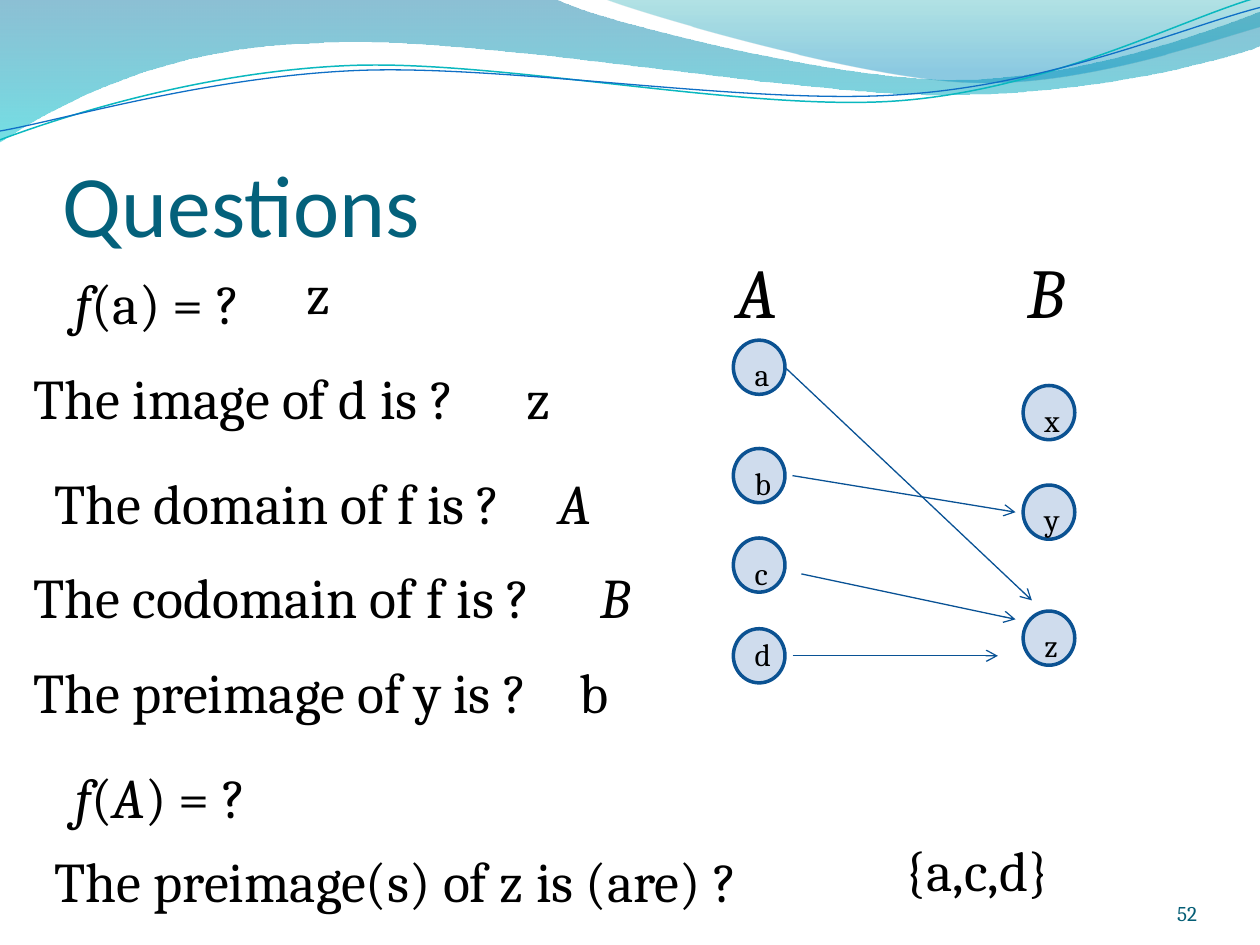
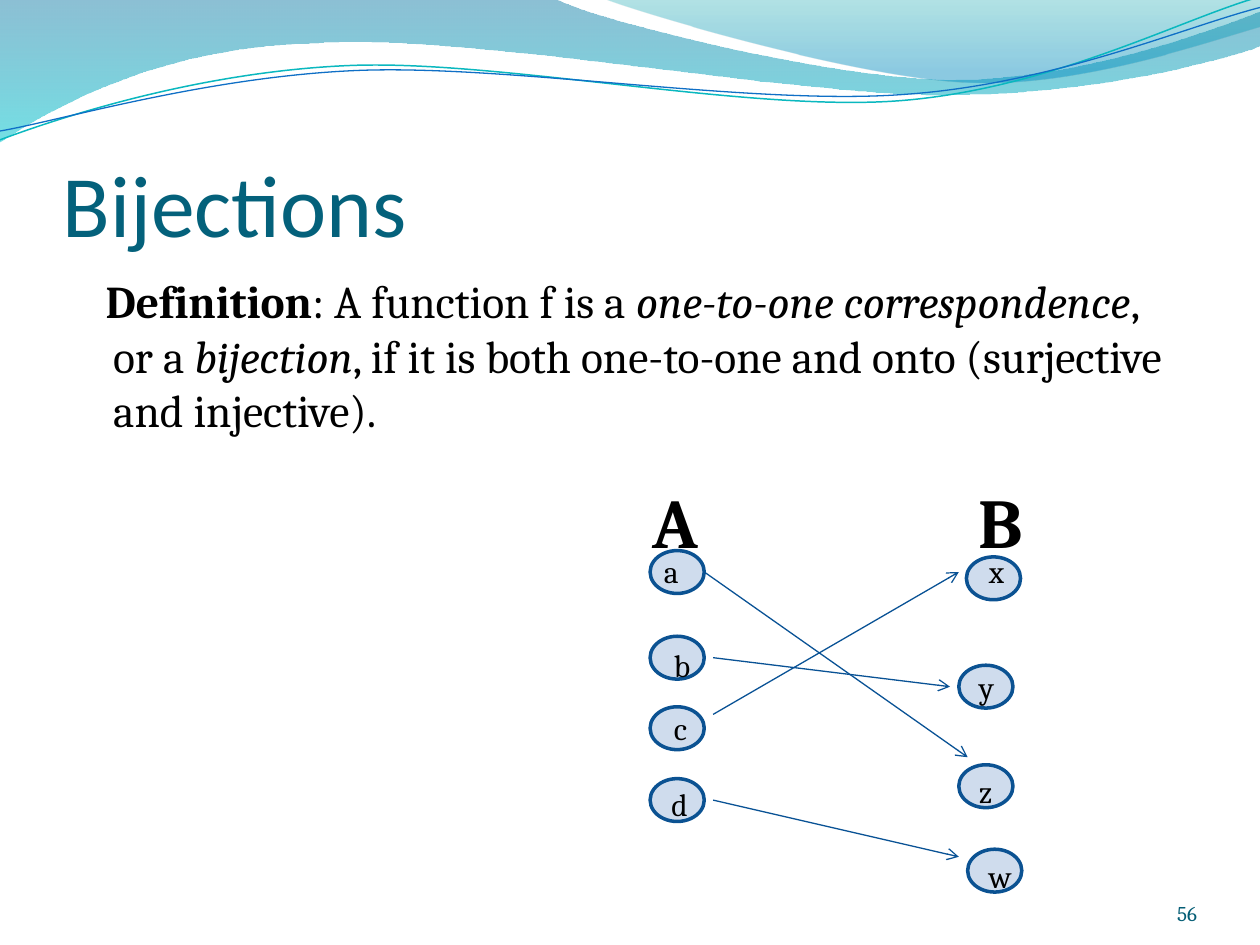
from math import cos, radians, sin

from lxml import etree
from pptx import Presentation
from pptx.dml.color import RGBColor
from pptx.enum.shapes import MSO_CONNECTOR, MSO_SHAPE
from pptx.enum.text import MSO_ANCHOR, PP_ALIGN
from pptx.oxml.ns import qn
from pptx.util import Inches, Pt

NODE = MSO_SHAPE.FLOWCHART_CONNECTOR
STRAIGHT = MSO_CONNECTOR.STRAIGHT
TOP, BOTTOM = MSO_ANCHOR.TOP, MSO_ANCHOR.BOTTOM
LEFT, RIGHT = PP_ALIGN.LEFT, PP_ALIGN.RIGHT

SLIDE_W, SLIDE_H = 10, 7.5
GRID = 1 / 12
ANSWER_H = 0.64
WAVE_TILT = -2.7
PADDING = (0.1, 0.05, 0.1, 0.05)

THEME = {
    "node_fill": ("4F81BD", 27),
    "node_line": ("0B5292", 2),
    "arrow": ("095295", 0.75),
    "title": {"name": "Calibri", "size": 50, "color": "04617B"},
    "answer": {"name": "Cambria", "size": 32, "color": "000000"},
    "body": {"name": "Cambria", "size": 26, "color": "000000"},
    "set_name": {"name": "Cambria", "size": 40, "color": "000000"},
    "element": {"name": "Cambria", "size": 18, "color": "000000"},
    "number": {"name": "Cambria", "size": 12, "color": "045D75"},
}
PLAIN, ITALIC, BOLD = {}, {"italic": True}, {"bold": True}

# Header waves: a start, then straight (2 values) or curved (6 values) parts
WAVE_FILLS = [
    ((0, 0), [(4.4, -0.01), (4.76, 0.17, 6.64, 0.63, 7.58, 0.63),
              (8.53, 0.63, 9.58, 0.26, 10, 0.09), (10.01, 0.36),
              (9.83, 0.44, 8.7, 0.76, 7.46, 0.75),
              (6.22, 0.75, 3.82, 0.28, 2.57, 0.34),
              (1.29, 0.36, 0.46, 0.83, -0.01, 1.13), (0, 0)],
     [(0, "0074A1", 45), (100, "00C6CF", 55)]),
    ((4.79, -0.01), [(5.09, 0.11, 6.82, 0.62, 7.69, 0.65),
                     (8.56, 0.69, 9.61, 0.32, 10, 0.21), (10, 0), (4.79, -0.01)],
     [(0, "00A1A9", 30), (80, "008BBF", 45)]),
]
# Tilted lines: also the centre of the tilt
WAVE_LINES = [
    ((0, 1.11), [(0.48, 0.93, 1.58, 0.57, 2.77, 0.52),
                 (3.95, 0.47, 5.93, 0.89, 7.13, 0.8),
                 (8.33, 0.71, 9.38, 0.15, 9.98, -0.02)],
     (4.99, 0.58), ("0AB8BF", 0.85)),
    ((0, 1.04), [(0.47, 0.96, 1.64, 0.61, 2.83, 0.56),
                 (4.03, 0.51, 5.97, 0.84, 7.17, 0.75),
                 (8.36, 0.67, 9.41, 0.21, 10, 0.06)],
     (5, 0.59), ("0F6FC6", 0.75)),
]

# Questions and answers: left, top, width in grid units, runs
FIRST_QUESTION = (6, 25, 51, [("f", ITALIC), ("(a) = ?", PLAIN)])
OTHER_QUESTIONS = [
    (28, 24, 38, [("z", PLAIN)]),
    (2, 34, 51, [("The image of d is ?", PLAIN)]),
    (49, 34, 9, [("z", PLAIN)]),
    (4, 44, 51, [("The domain of f is ?", PLAIN)]),
    (52, 44, 8, [("A", ITALIC)]),
    (2, 53, 53, [("The codomain of f is ?", PLAIN)]),
    (56, 53, 5, [("B", ITALIC)]),
    (2, 62, 54, [("The preimage of y is ?", PLAIN)]),
    (54, 62, 6, [("b", PLAIN)]),
    (6, 72, 21, [("f", ITALIC), ("(", PLAIN), ("A", ITALIC), (") = ?", PLAIN)]),
    (85, 79, 35, [("{a,c,d}", PLAIN)]),
    (4, 80, 79, [("The preimage(s) of z is (are) ?", PLAIN)]),
]

DEFINITION = [
    ("Definition", BOLD), (": A function f is a ", PLAIN),
    ("one-to-one correspondence", ITALIC), (", or a ", PLAIN),
    ("bijection", ITALIC),
    (", if it is both one-to-one and onto (surjective and injective).", PLAIN),
]

# Mappings. elements: left, top of the node and its label's offset.
# arrows: source, target, offset from source's right and target's left middle.
INSET = (0.07, 0.07)
QUESTION_MAP = {
    "node": (0.41, 0.43), "label": (0.27, 0.35),
    "sets": [("A", 5.75, 1.92), ("B", 8.06, 1.92)],
    "set_box": (0.61, 0.77), "set_style": ITALIC,
    "elements": {
        "a": (5.82, 2.7, INSET), "b": (5.82, 3.56, INSET),
        "c": (5.82, 4.27, (0.07, 0.08)), "d": (5.82, 4.99, (0.07, 0)),
        "x": (8.12, 3.06, INSET), "y": (8.12, 3.85, INSET),
        "z": (8.12, 4.85, INSET),
    },
    "arrows": [("b", "y", (0.06, 0), (-0.06, 0)),
               ("a", "z", (0, 0), (0.07, -0.3)),
               ("c", "z", (0.13, 0.07), (-0.06, -0.15)),
               ("d", "z", (0.06, 0), (-0.2, 0.14))],
}
BIJECTION_MAP = {
    "node": (0.43, 0.34), "label": (0.29, 0.27),
    "sets": [("A", 5.08, 3.75), ("B", 7.67, 3.75)],
    "set_box": (0.65, 0.52), "set_style": BOLD,
    "elements": {
        "a": (5.16, 4.37, (0.01, -0.04)), "b": (5.16, 5.05, (0.09, 0.03)),
        "c": (5.16, 5.61, (0.09, -0.03)), "d": (5.16, 6.18, (0.07, 0)),
        "x": (7.67, 4.42, (0.08, -0.09)), "y": (7.61, 5.28, (0.06, -0.03)),
        "z": (7.61, 6.07, (0.06, 0.01)), "w": (7.68, 6.74, (0.07, 0.01)),
    },
    "arrows": [("b", "y", (0.07, 0), (-0.07, 0)),
               ("a", "z", (0, 0), (0.07, -0.23)),
               ("c", "x", (0.07, -0.11), (-0.06, -0.05)),
               ("d", "w", (0.07, 0), (-0.07, -0.11))],
}


def add_alpha(color_element, percent):
    etree.SubElement(color_element, qn("a:alpha"), val=str(percent * 1000))


def set_line(line, color_and_width):
    color, width = color_and_width
    line.color.rgb = RGBColor.from_string(color)
    line.width = Pt(width)


def add_text(parent, box, runs, style, anchor=TOP, align=LEFT, padding=PADDING):
    frame = parent.shapes.add_textbox(*map(Inches, box)).text_frame
    left, top, right, bottom = map(Inches, padding)
    layout = {"word_wrap": True, "vertical_anchor": anchor, "margin_left": left,
              "margin_top": top, "margin_right": right, "margin_bottom": bottom}
    for key, value in layout.items():
        setattr(frame, key, value)
    paragraph = frame.paragraphs[0]
    paragraph.alignment = align
    base = THEME[style]
    for words, emphasis in runs:
        run = paragraph.add_run()
        run.text = words
        font = {"name": base["name"], "size": Pt(base["size"]), **emphasis}
        for key, value in font.items():
            setattr(run.font, key, value)
        run.font.color.rgb = RGBColor.from_string(base["color"])
    return paragraph


# Header waves
def turn(point, center, degrees):
    dx, dy = point[0] - center[0], point[1] - center[1]
    c, s = cos(radians(degrees)), sin(radians(degrees))
    return center[0] + dx * c - dy * s, center[1] + dx * s + dy * c


def add_wave(parent, start, parts, closed, center=(0, 0), tilt=0):
    points = [start] + [part[i:i + 2] for part in parts for i in range(0, len(part), 2)]
    first, *rest = [tuple(map(Inches, turn(p, center, -tilt))) for p in points]
    builder = parent.shapes.build_freeform(*first)
    builder.add_line_segments(rest, close=closed)
    wave = builder.convert_to_shape()
    wave.shadow.inherit = False
    wave.rotation = tilt
    # Three points of each curved part become one Bezier segment
    segments = iter(list(wave._element.iter(qn("a:lnTo"))))
    for part in parts:
        segment = next(segments)
        if len(part) == 6:
            segment.tag = qn("a:cubicBezTo")
            for _ in range(2):
                extra = next(segments)
                segment.append(extra[0])
                extra.getparent().remove(extra)
    return wave


def set_gradient(wave, stops):
    wave.fill.gradient()
    gradient = wave.fill._xPr.find(qn("a:gradFill"))
    for child in list(gradient):
        gradient.remove(child)
    stop_list = etree.SubElement(gradient, qn("a:gsLst"))
    for position, color, opacity in stops:
        stop = etree.SubElement(stop_list, qn("a:gs"), pos=str(position * 1000))
        add_alpha(etree.SubElement(stop, qn("a:srgbClr"), val=color), opacity)
    etree.SubElement(gradient, qn("a:lin"), ang="5400000", scaled="0")


def add_base(deck, title):
    slide = deck.slides.add_slide(deck.slide_layouts[6])
    for start, parts, stops in WAVE_FILLS:
        wave = add_wave(slide, start, parts, True)
        set_gradient(wave, stops)
        wave.line.fill.background()
    lines = slide.shapes.add_group_shape()
    for start, parts, center, stroke in WAVE_LINES:
        wave = add_wave(lines, start, parts, False, center, WAVE_TILT)
        wave.fill.background()
        set_line(wave.line, stroke)
    add_text(slide, (0.5, 0.77, 9, 1.25), [(title, PLAIN)], "title", BOTTOM,
             padding=(0, 0.05, 0, 0))
    return slide


def add_number(slide, number):
    add_text(slide, (8.67, 6.95, 0.83, 0.4), [(number, PLAIN)], "number", BOTTOM,
             RIGHT, (0, 0, 0, 0))


# Mapping diagram: nodes, labels, arrows
def add_node(parent, left, top, size):
    node = parent.shapes.add_shape(NODE, *map(Inches, (left, top, *size)))
    node.shadow.inherit = False
    color, opacity = THEME["node_fill"]
    node.fill.solid()
    node.fill.fore_color.rgb = RGBColor.from_string(color)
    add_alpha(node.fill._xPr.find(qn("a:solidFill"))[0], opacity)
    set_line(node.line, THEME["node_line"])


def add_arrow(parent, start, end):
    arrow = parent.shapes.add_connector(STRAIGHT, *map(Inches, (*start, *end)))
    set_line(arrow.line, THEME["arrow"])
    etree.SubElement(arrow.line._get_or_add_ln(), qn("a:tailEnd"), type="arrow")
    etree.SubElement(arrow._element.spPr, qn("a:effectLst"))


def add_mapping(slide, mapping):
    diagram = slide.shapes.add_group_shape()
    width, height = mapping["node"]
    elements = mapping["elements"]
    for left, top, _ in elements.values():
        add_node(diagram, left, top, mapping["node"])
    for name, left, top in mapping["sets"]:
        add_text(diagram, (left, top, *mapping["set_box"]),
                 [(name, mapping["set_style"])], "set_name")
    for name, (left, top, (dx, dy)) in elements.items():
        add_text(diagram, (left + dx, top + dy, *mapping["label"]),
                 [(name, PLAIN)], "element")
    for source, target, leave, reach in mapping["arrows"]:
        x1, y1, _ = elements[source]
        x2, y2, _ = elements[target]
        add_arrow(diagram, (x1 + width + leave[0], y1 + height / 2 + leave[1]),
                  (x2 + reach[0], y2 + height / 2 + reach[1]))


def add_question(slide, left, top, width, runs):
    box = [units * GRID for units in (left, top, width)]
    add_text(slide, (*box, ANSWER_H), runs, "answer")


def main():
    deck = Presentation()
    deck.slide_width, deck.slide_height = Inches(SLIDE_W), Inches(SLIDE_H)

    # Questions
    slide = add_base(deck, "Questions")
    add_question(slide, *FIRST_QUESTION)
    add_mapping(slide, QUESTION_MAP)
    for question in OTHER_QUESTIONS:
        add_question(slide, *question)
    add_number(slide, "52")

    # Bijections
    slide = add_base(deck, "Bijections")
    paragraph = add_text(slide, (0.5, 2.12, 9, 4.8), DEFINITION, "body")
    paragraph.space_before = Pt(5)
    properties = paragraph._p.get_or_add_pPr()
    for key, inches in {"marL": 0.3, "indent": -0.06}.items():
        properties.set(key, str(int(Inches(inches))))
    add_mapping(slide, BIJECTION_MAP)
    add_number(slide, "56")

    deck.save("out.pptx")


if __name__ == "__main__":
    main()
